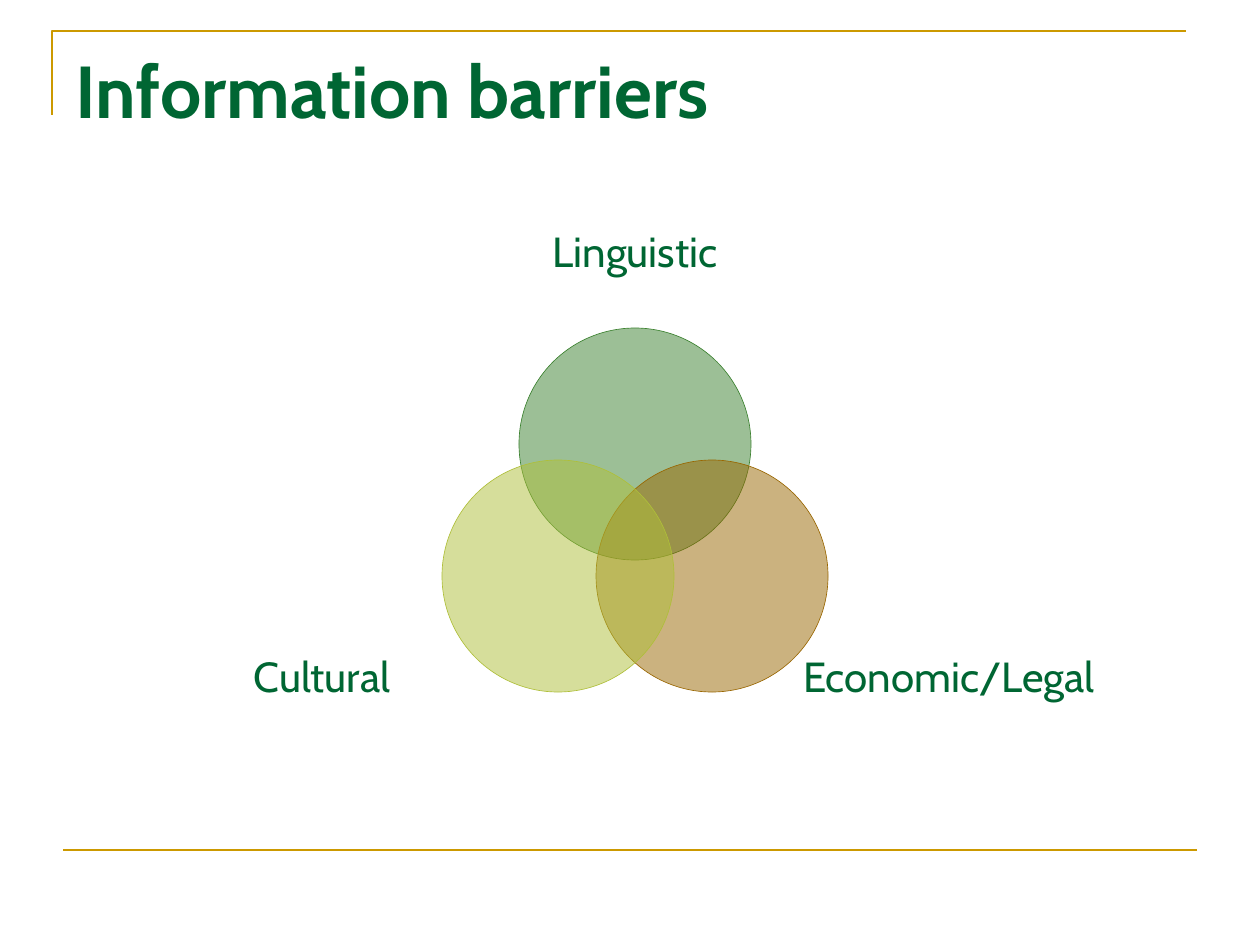
from pptx import Presentation
from pptx.dml.color import RGBColor
from pptx.enum.shapes import MSO_CONNECTOR, MSO_SHAPE
from pptx.enum.text import MSO_ANCHOR, PP_ALIGN
from pptx.oxml.ns import qn
from pptx.util import Pt
from lxml.etree import SubElement

EMU_PER_PX = 914400 / 126
GOLD = RGBColor(0xCC, 0x99, 0x00)
DARK_GREEN = RGBColor(0x00, 0x66, 0x33)
LEAF = RGBColor(0x3B, 0x81, 0x2F)
BROWN = RGBColor(0x99, 0x66, 0x00)
LIME = RGBColor(0xAF, 0xBF, 0x39)
DIAMETER = 232
LABEL_HEIGHT = 58


def px(*lengths):
    return [round(length * EMU_PER_PX) for length in lengths]


def add_text(text, box, size, bold=False):
    frame = slide.shapes.add_textbox(*px(*box)).text_frame
    frame.word_wrap = True
    paragraph = frame.paragraphs[0]
    run = paragraph.add_run()
    run.text = text
    run.font.name = "Cabin"
    run.font.size = Pt(size)
    run.font.bold = bold
    run.font.color.rgb = DARK_GREEN
    return frame


presentation = Presentation()
presentation.slide_width, presentation.slide_height = px(1260, 945)
slide = presentation.slides.add_slide(presentation.slide_layouts[6])

builder = slide.shapes.build_freeform(52, 115, scale=EMU_PER_PX)
builder.add_line_segments([(52, 31), (1186, 31)], close=False)
corner = builder.convert_to_shape()
corner.shadow.inherit = False
corner.fill.background()
corner.line.color.rgb = GOLD
corner.line.width = Pt(1.5)

footer_rule = slide.shapes.add_connector(MSO_CONNECTOR.STRAIGHT, *px(63, 850, 1197, 850))
footer_rule.line.color.rgb = GOLD
footer_rule.line.width = Pt(1.5)
SubElement(footer_rule._element.spPr, qn("a:effectLst"))

add_text("Information barriers", (63, 39, 1134, 158), 42, bold=True)

barriers = [
    ("Linguistic", LEAF, (519, 328), (519, 222, 232)),
    ("Economic/Legal", BROWN, (596, 460), (799, 647, 300)),
    ("Cultural", LIME, (442, 460), (206, 647, 232)),
]
for name, color, circle_corner, label_place in barriers:
    circle = slide.shapes.add_shape(MSO_SHAPE.OVAL, *px(*circle_corner, DIAMETER, DIAMETER))
    circle.shadow.inherit = False
    circle.fill.solid()
    circle.fill.fore_color.rgb = color
    fill_color = circle._element.spPr.find(qn("a:solidFill"))[0]
    SubElement(fill_color, qn("a:alpha"), val="50000")
    circle.line.color.rgb = color
    circle.line.width = Pt(0.37)

    label = add_text(name, (*label_place, LABEL_HEIGHT), 24)
    label.margin_left = label.margin_right = label.margin_top = label.margin_bottom = 0
    label.vertical_anchor = MSO_ANCHOR.MIDDLE
    label.paragraphs[0].alignment = PP_ALIGN.CENTER

presentation.save("out.pptx")
